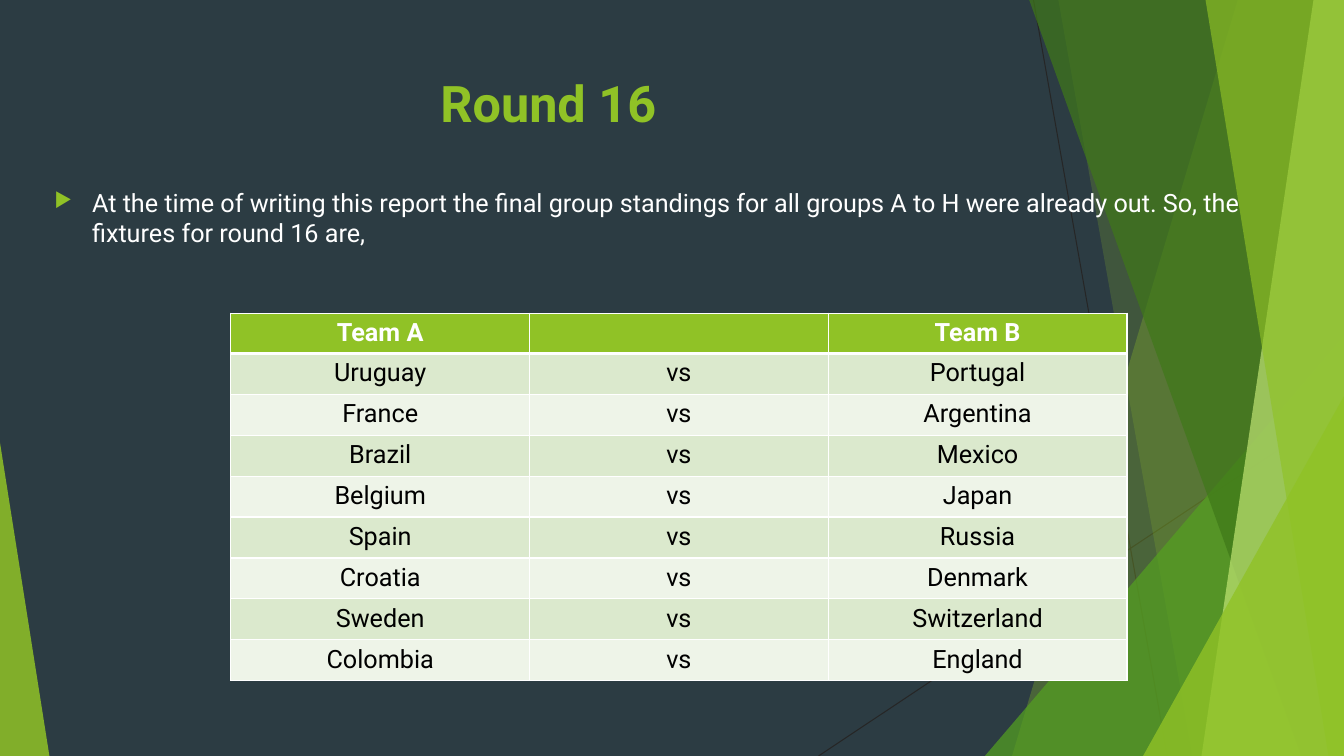
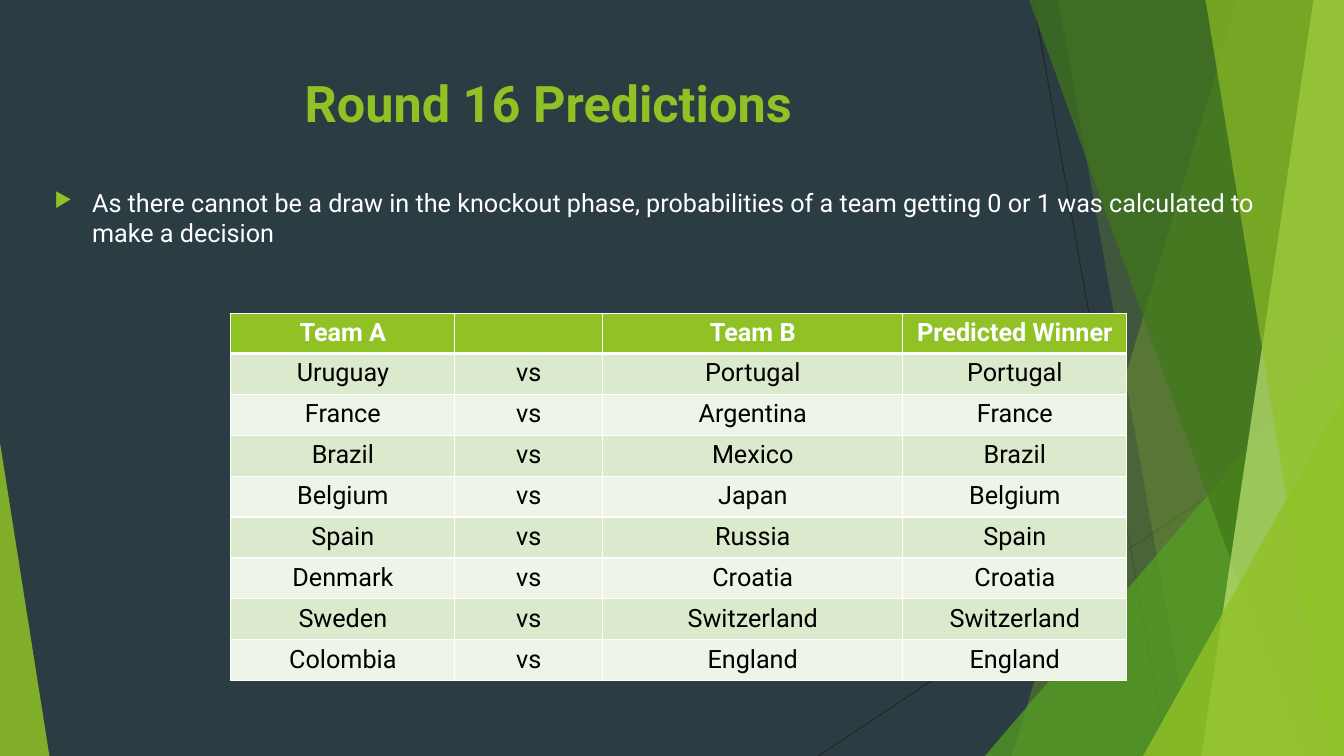
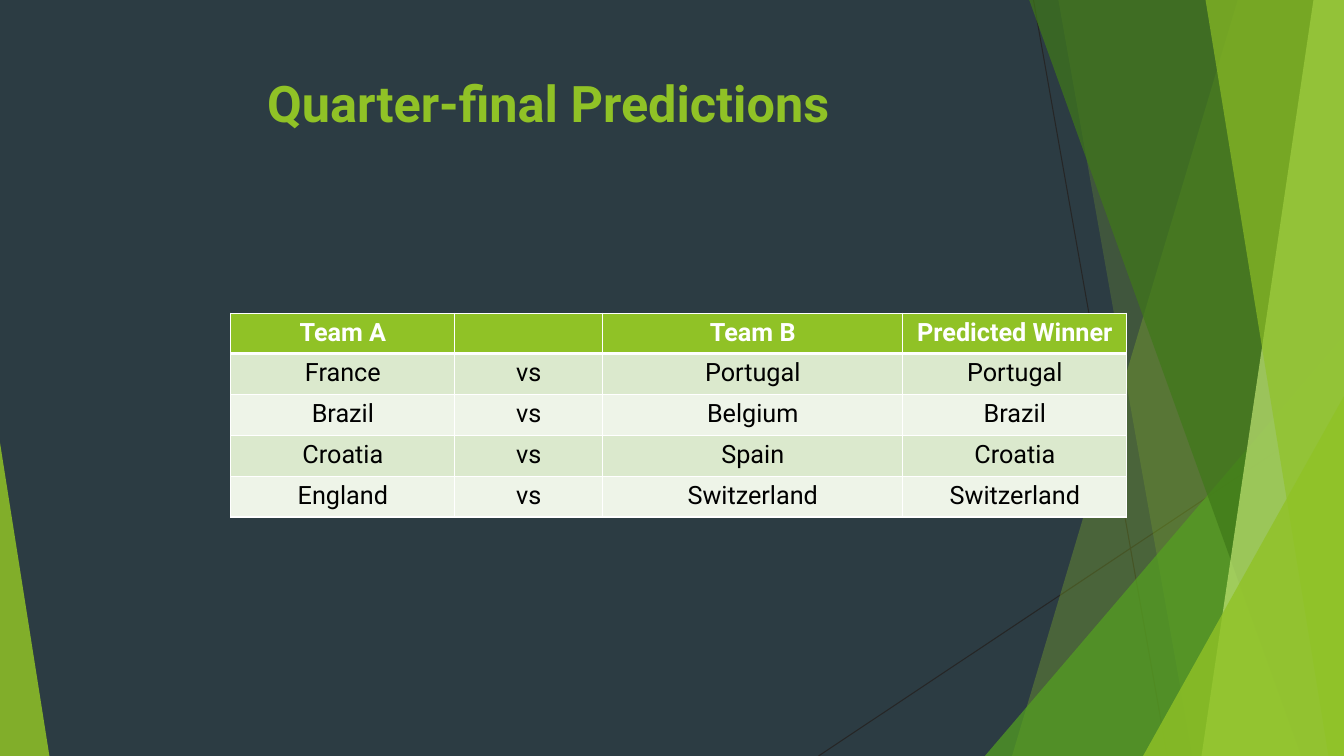
"""Builds three slides with the knockout fixtures and the predicted winners."""
from dataclasses import dataclass

from lxml import etree
from pptx import Presentation
from pptx import util as u
from pptx.dml.color import RGBColor
from pptx.enum import shapes, text
from pptx.oxml import ns


@dataclass(frozen=True)
class Theme:
    font: str = "Roboto"
    title_size: float = 36
    body_size: float = 18
    thin: float = 1
    thick: float = 3
    hairline: float = 0.75
    night: str = "2C3C43"
    lime: str = "90C226"
    grass: str = "54A021"
    forest: str = "3F7819"
    pale: str = "C0E474"
    ink: str = "262626"
    white: str = "FFFFFF"
    black: str = "000000"
    bands: tuple[str, str] = ("DBE9CD", "EEF4E8")


@dataclass(frozen=True)
class Box:
    left: float
    top: float
    width: float
    height: float


@dataclass(frozen=True)
class Ray:
    start: tuple[float, float]
    end: tuple[float, float]


@dataclass(frozen=True)
class Sheet:
    top_left: float
    bottom_left: float
    color: str
    opacity: int


@dataclass(frozen=True)
class Wedge:
    box: Box
    apex: float
    color: str
    opacity: int


@dataclass(frozen=True)
class Round:
    title: str
    lead: str
    heads: tuple[str, ...]
    weights: tuple[float, ...]
    matches: tuple[tuple[str, ...], ...]


THEME = Theme()
WIDTH, HEIGHT = u.Inches(13.333), u.Inches(7.5)
GRID = 100
TITLE_BOX = Box(5.55, 8.93, 70.5, 19.2)
LEAD_BOX = Box(3.3, 24.13, 91.58, 66.27)
TABLE_LEFT, TABLE_TOP, TABLE_WIDTH = 17.18, 41.43, 66.67
HEAD_ROW, MATCH_ROW = 5.2, 5.41

BACKDROP = (
    Ray((76.9, 0), (86.85, 100)),
    Ray((100, 53.73), (60.9, 100)),
    Sheet(92.1, 75.3, THEME.lime, 30),
    Sheet(78.75, 88.73, THEME.lime, 20),
    Wedge(Box(73.28, 44.4, 26.72, 55.6), 1, THEME.grass, 72),
    Sheet(76.58, 96.83, THEME.forest, 70),
    Sheet(97.73, 89.4, THEME.pale, 70),
    Sheet(89.7, 98.85, THEME.lime, 65),
    Wedge(Box(85.05, 52.4, 14.95, 47.6), 1, THEME.lime, 80),
    Wedge(Box(0, 58.53, 3.68, 41.47), 0, THEME.lime, 85),
)

FIXTURE_HEADS = ("Team A", "", "Team B")
PREDICTION_HEADS = (*FIXTURE_HEADS, "Predicted Winner")
PREDICTION_WEIGHTS = (25, 16.5, 33.5, 25)

ROUNDS = (
    Round(
        "Round 16",
        "At the time of writing this report the final group standings for all groups A to H "
        "were already out. So, the fixtures for round 16 are,",
        FIXTURE_HEADS,
        (1, 1, 1),
        (
            ("Uruguay", "Portugal"),
            ("France", "Argentina"),
            ("Brazil", "Mexico"),
            ("Belgium", "Japan"),
            ("Spain", "Russia"),
            ("Croatia", "Denmark"),
            ("Sweden", "Switzerland"),
            ("Colombia", "England"),
        ),
    ),
    Round(
        "Round 16 Predictions",
        "As there cannot be a draw in the knockout phase, probabilities of a team getting "
        "0 or 1 was calculated to make a decision",
        PREDICTION_HEADS,
        PREDICTION_WEIGHTS,
        (
            ("Uruguay", "Portugal", "Portugal"),
            ("France", "Argentina", "France"),
            ("Brazil", "Mexico", "Brazil"),
            ("Belgium", "Japan", "Belgium"),
            ("Spain", "Russia", "Spain"),
            ("Denmark", "Croatia", "Croatia"),
            ("Sweden", "Switzerland", "Switzerland"),
            ("Colombia", "England", "England"),
        ),
    ),
    Round(
        "Quarter-final Predictions",
        "",
        PREDICTION_HEADS,
        PREDICTION_WEIGHTS,
        (
            ("France", "Portugal", "Portugal"),
            ("Brazil", "Belgium", "Brazil"),
            ("Croatia", "Spain", "Croatia"),
            ("England", "Switzerland", "Switzerland"),
        ),
    ),
)


def across(columns: float) -> int:
    return round(WIDTH * columns / GRID)


def down(rows: float) -> int:
    return round(HEIGHT * rows / GRID)


def place(box: Box) -> tuple[int, int, int, int]:
    return across(box.left), down(box.top), across(box.width), down(box.height)


def rgb(color: str) -> RGBColor:
    return RGBColor.from_string(color)


def add_child(parent, tag: str, **attributes: str):
    child = etree.SubElement(parent, ns.qn(tag))
    for key, value in attributes.items():
        child.set(key, value)
    return child


def write(paragraph, wording: str, size: float, color: str, bold: bool = False) -> None:
    paragraph.text = wording
    for run in paragraph.runs or (paragraph.add_run(),):
        run.font.name, run.font.size = THEME.font, u.Pt(size)
        run.font.bold, run.font.color.rgb = bold, rgb(color)


def tint(facet, color: str, opacity: int) -> None:
    facet.shadow.inherit = False
    facet.line.fill.background()
    facet.fill.solid()
    facet.fill.fore_color.rgb = rgb(color)
    solid = facet.fill._xPr.find(ns.qn("a:solidFill"))
    add_child(solid[0], "a:alpha", val=str(opacity * 1000))


def draw_ray(slide, ray: Ray) -> None:
    (x1, y1), (x2, y2) = ray.start, ray.end
    thread = slide.shapes.add_connector(
        shapes.MSO_CONNECTOR.STRAIGHT, across(x1), down(y1), across(x2), down(y2)
    )
    thread.line.color.rgb = rgb(THEME.ink)
    thread.line.width = u.Pt(THEME.hairline)
    add_child(thread._element.spPr, "a:effectLst")


def draw_sheet(slide, sheet: Sheet) -> None:
    outline = slide.shapes.build_freeform(across(sheet.top_left), 0)
    corners = ((GRID, 0), (GRID, GRID), (sheet.bottom_left, GRID))
    outline.add_line_segments([(across(x), down(y)) for x, y in corners])
    tint(outline.convert_to_shape(), sheet.color, sheet.opacity)


def draw_wedge(slide, wedge: Wedge) -> None:
    triangle = slide.shapes.add_shape(
        shapes.MSO_SHAPE.ISOSCELES_TRIANGLE, *place(wedge.box)
    )
    triangle.adjustments[0] = wedge.apex
    tint(triangle, wedge.color, wedge.opacity)


def draw_backdrop(slide) -> None:
    painters = {Ray: draw_ray, Sheet: draw_sheet, Wedge: draw_wedge}
    for part in BACKDROP:
        painters[type(part)](slide, part)


def add_paragraph_box(slide, box: Box):
    frame = slide.shapes.add_textbox(*place(box)).text_frame
    frame.word_wrap = True
    return frame.paragraphs[0]


def draw_title(slide, wording: str) -> None:
    heading = add_paragraph_box(slide, TITLE_BOX)
    write(heading, wording, THEME.title_size, THEME.lime, bold=True)
    heading.alignment = text.PP_ALIGN.CENTER


def draw_lead(slide, wording: str) -> None:
    lead = add_paragraph_box(slide, LEAD_BOX)
    write(lead, wording, THEME.body_size, THEME.white)
    lead.space_before = u.Pt(10)
    indent = u.Pt(27)
    properties = lead._p.get_or_add_pPr()
    properties.set("marL", str(indent))
    properties.set("indent", str(-indent))
    add_child(add_child(properties, "a:buClr"), "a:srgbClr", val=THEME.lime)
    add_child(properties, "a:buSzPct", val="80000")
    add_child(properties, "a:buChar", char="▶")


def set_borders(cell, top: float, bottom: float) -> None:
    properties = cell._tc.get_or_add_tcPr()
    widths = {"a:lnL": THEME.thin, "a:lnR": THEME.thin, "a:lnT": top, "a:lnB": bottom}
    for position, (side, width) in enumerate(widths.items()):
        edge = add_child(properties, side, w=str(u.Pt(width)))
        add_child(add_child(edge, "a:solidFill"), "a:srgbClr", val=THEME.white)
        properties.insert(position, edge)


def draw_matches(slide, stage: Round) -> None:
    lines = [stage.heads, *((home, "vs", *rest) for home, *rest in stage.matches)]
    heights = [HEAD_ROW] + [MATCH_ROW] * len(stage.matches)
    box = Box(TABLE_LEFT, TABLE_TOP, TABLE_WIDTH, sum(heights))
    table = slide.shapes.add_table(len(lines), len(stage.heads), *place(box)).table
    for column, weight in zip(table.columns, stage.weights):
        column.width = across(TABLE_WIDTH * weight / sum(stage.weights))
    for index, (line, height) in enumerate(zip(lines, heights)):
        table.rows[index].height = down(height)
        is_head = index == 0
        for cell, wording in zip(table.rows[index].cells, line):
            paragraph = cell.text_frame.paragraphs[0]
            color = THEME.white if is_head else THEME.black
            write(paragraph, wording, THEME.body_size, color, bold=is_head)
            paragraph.alignment = text.PP_ALIGN.CENTER
            cell.fill.solid()
            band = THEME.lime if is_head else THEME.bands[(index - 1) % 2]
            cell.fill.fore_color.rgb = rgb(band)
            set_borders(
                cell,
                top=THEME.thick if index == 1 else THEME.thin,
                bottom=THEME.thick if is_head else THEME.thin,
            )


def main() -> None:
    deck = Presentation()
    deck.slide_width, deck.slide_height = WIDTH, HEIGHT
    backdrop = deck.slide_master.background.fill
    backdrop.solid()
    backdrop.fore_color.rgb = rgb(THEME.night)
    blank = deck.slide_layouts[6]
    for stage in ROUNDS:
        slide = deck.slides.add_slide(blank)
        draw_backdrop(slide)
        draw_title(slide, stage.title)
        if stage.lead:
            draw_lead(slide, stage.lead)
        draw_matches(slide, stage)
    deck.save("out.pptx")


if __name__ == "__main__":
    main()
